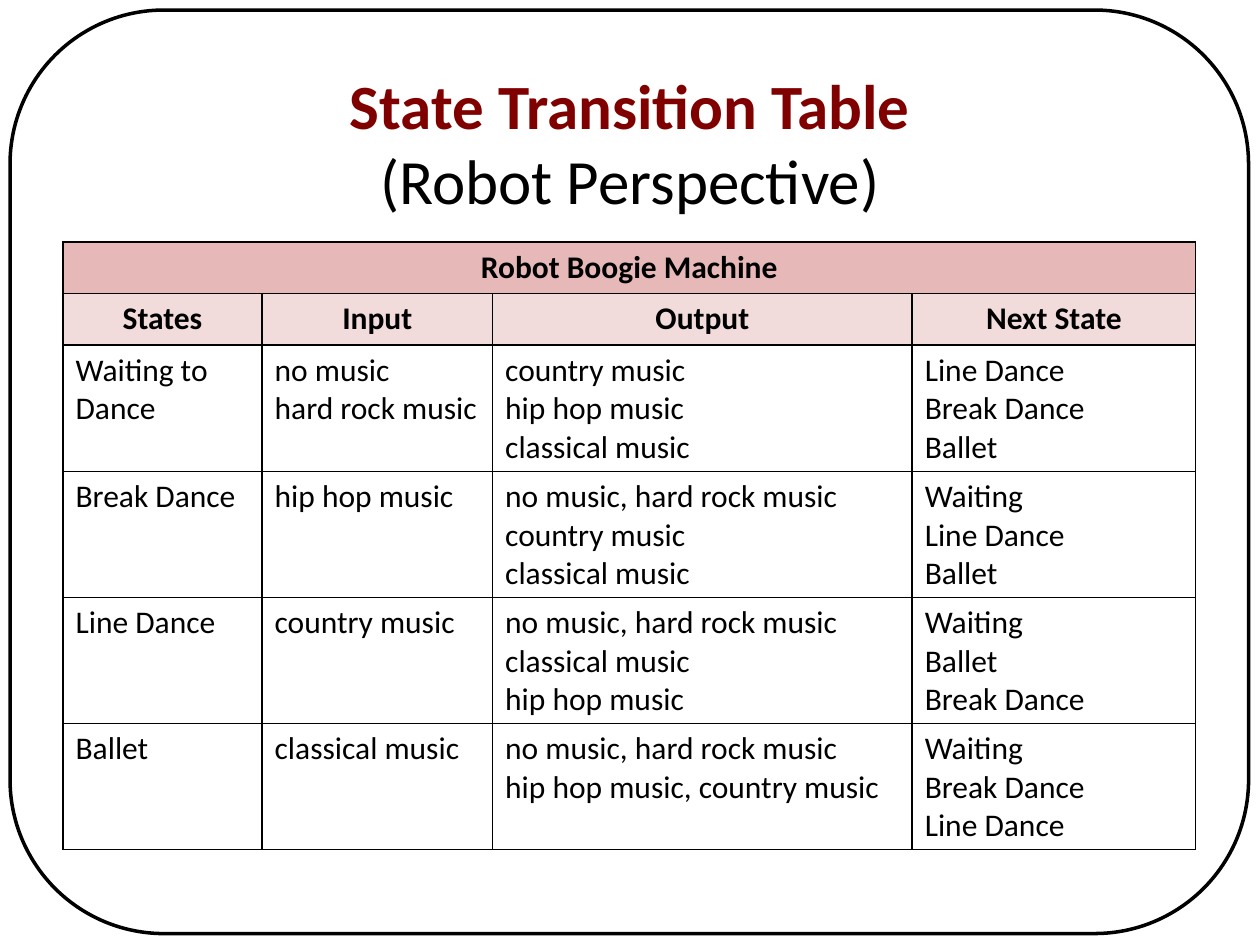
from lxml.etree import SubElement
from pptx import Presentation
from pptx.dml.color import RGBColor
from pptx.enum.shapes import MSO_SHAPE
from pptx.enum.text import MSO_ANCHOR, PP_ALIGN
from pptx.oxml.ns import qn
from pptx.util import Inches, Pt

BLACK = RGBColor(0x00, 0x00, 0x00)
MAROON = RGBColor(0x80, 0x00, 0x00)
ROSE = RGBColor(0xE6, 0xB9, 0xB8)
PALE_ROSE = RGBColor(0xF2, 0xDC, 0xDB)

COLUMN_WIDTHS = [1.58, 1.83, 3.33, 2.25]
HEADER_HEIGHT = 0.41
BODY_HEIGHT = 1.0
ROWS = [
    ["Robot Boogie Machine", "", "", ""],
    ["States", "Input", "Output", "Next State"],
    ["Waiting to Dance", "no music\nhard rock music",
     "country music\nhip hop music\nclassical music",
     "Line Dance\nBreak Dance\nBallet"],
    ["Break Dance", "hip hop music",
     "no music, hard rock music\ncountry music\nclassical music",
     "Waiting\nLine Dance\nBallet"],
    ["Line Dance", "country music",
     "no music, hard rock music\nclassical music\nhip hop music",
     "Waiting\nBallet\nBreak Dance"],
    ["Ballet", "classical music",
     "no music, hard rock music\nhip hop music, country music",
     "Waiting\nBreak Dance\nLine Dance"],
]
HEADER_FILLS = [ROSE, PALE_ROSE]


def format_font(font, size, bold, color=BLACK):
    values = {"name": "Calibri", "size": Pt(size), "bold": bold}
    for name, value in values.items():
        setattr(font, name, value)
    font.color.rgb = color


def add_borders(cell):
    properties = cell._tc.get_or_add_tcPr()
    for position, side in enumerate(["lnL", "lnR", "lnT", "lnB"]):
        line = SubElement(properties, qn(f"a:{side}"), w=str(Pt(1)))
        fill = SubElement(line, qn("a:solidFill"))
        SubElement(fill, qn("a:srgbClr"), val=str(BLACK))
        properties.insert(position, line)


presentation = Presentation()
presentation.slide_width = Inches(10)
presentation.slide_height = Inches(7.5)
slide = presentation.slides.add_slide(presentation.slide_layouts[6])

# Rounded frame
frame = slide.shapes.add_shape(
    MSO_SHAPE.ROUNDED_RECTANGLE,
    Inches(0.08), Inches(0.08), Inches(9.83), Inches(7.33))
frame.shadow.inherit = False
frame.fill.background()
frame.line.color.rgb = BLACK
frame.line.width = Pt(2)

# Title
title = slide.shapes.add_textbox(Inches(0.5), Inches(0.5), Inches(9), Inches(1.25))
title.text_frame.word_wrap = True
title.text_frame.vertical_anchor = MSO_ANCHOR.MIDDLE
paragraph = title.text_frame.paragraphs[0]
paragraph.alignment = PP_ALIGN.CENTER
run = paragraph.add_run()
run.text = "State Transition Table"
format_font(run.font, 36, True, MAROON)
paragraph.add_line_break()
run = paragraph.add_run()
run.text = "(Robot Perspective)"
format_font(run.font, 36, False)

# Transition table
heights = [HEADER_HEIGHT] * 2 + [BODY_HEIGHT] * 4
table = slide.shapes.add_table(
    len(ROWS), len(COLUMN_WIDTHS), Inches(0.5), Inches(1.92),
    Inches(sum(COLUMN_WIDTHS)), Inches(sum(heights))).table
for column, width in zip(table.columns, COLUMN_WIDTHS):
    column.width = Inches(width)
for row, height in zip(table.rows, heights):
    row.height = Inches(height)
table.cell(0, 0).merge(table.cell(0, 3))

for row_index, texts in enumerate(ROWS):
    is_header = row_index < len(HEADER_FILLS)
    for column_index, text in enumerate(texts):
        cell = table.cell(row_index, column_index)
        if is_header:
            cell.fill.solid()
            cell.fill.fore_color.rgb = HEADER_FILLS[row_index]
        else:
            cell.fill.background()
        add_borders(cell)
        if cell.is_spanned:
            continue
        cell.text = text
        for paragraph in cell.text_frame.paragraphs:
            paragraph.alignment = PP_ALIGN.CENTER if is_header else PP_ALIGN.LEFT
            for run in paragraph.runs:
                format_font(run.font, 18, is_header)

presentation.save("out.pptx")
